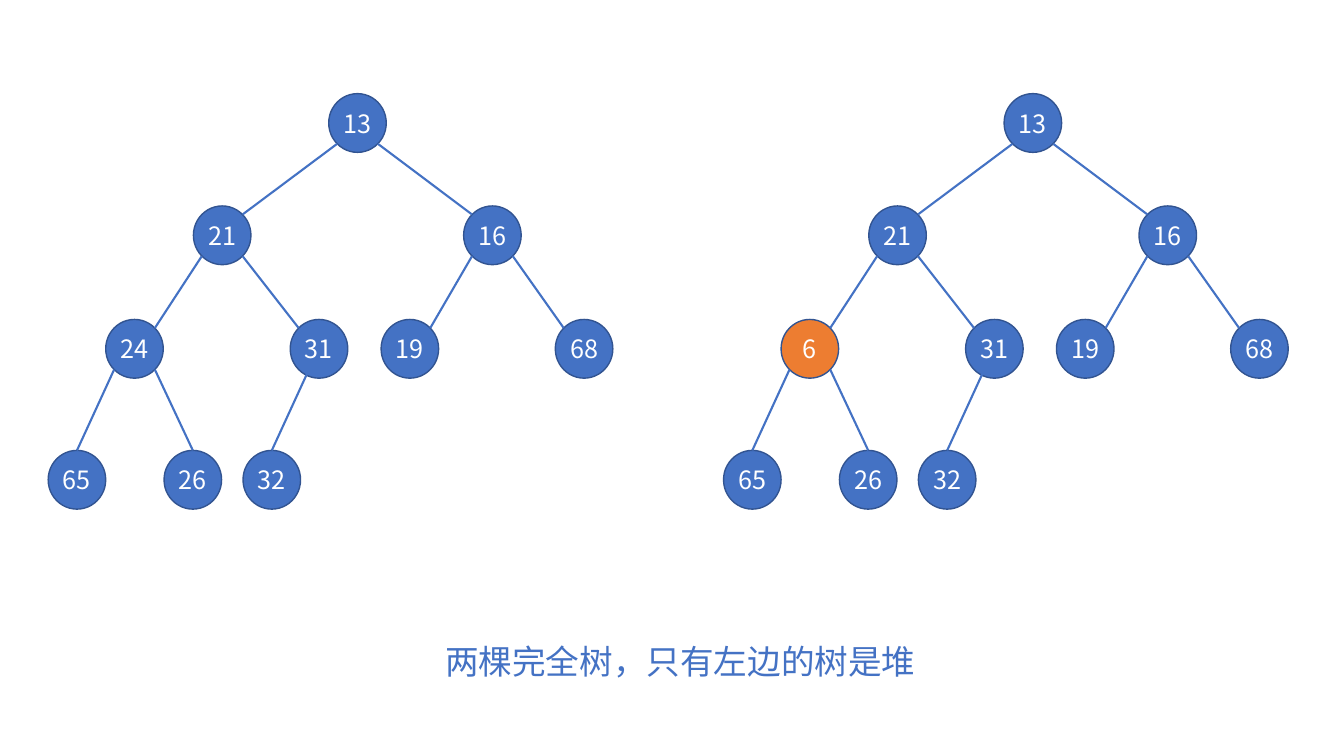
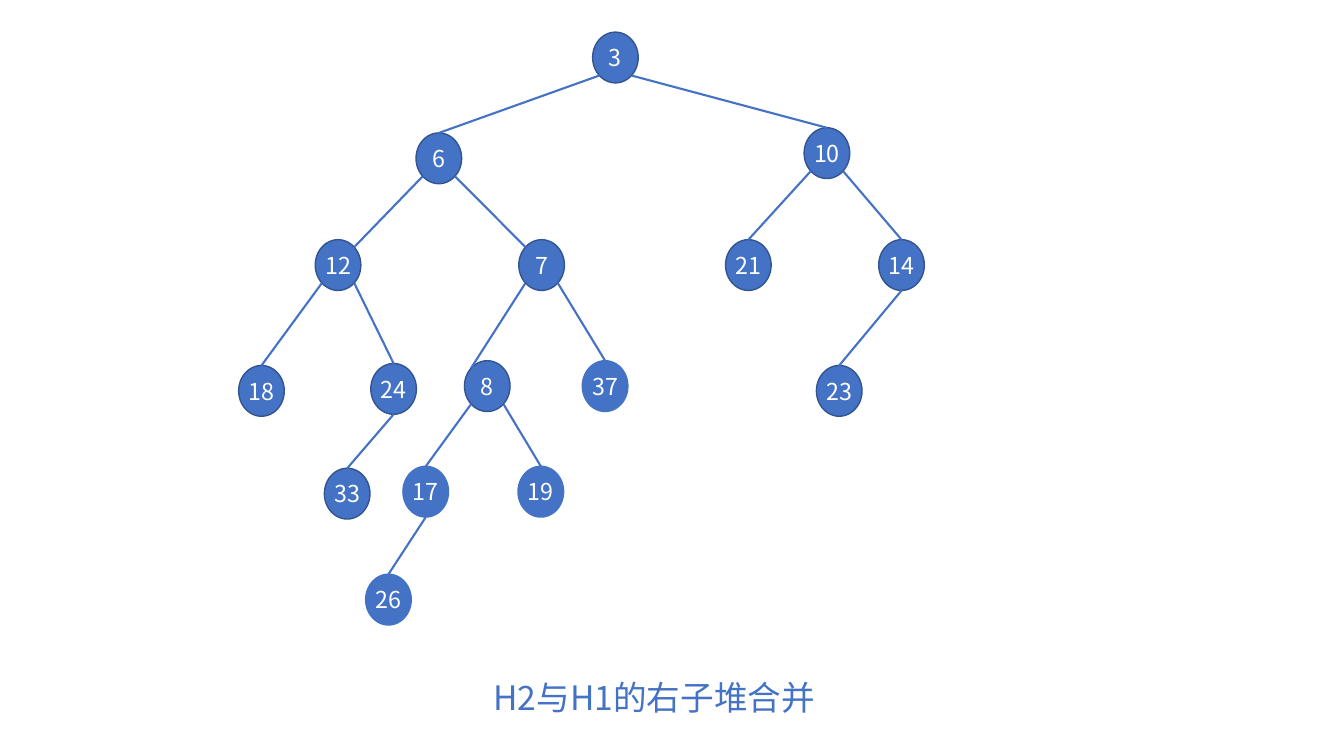
from pptx import Presentation
from pptx import util as u
from pptx.dml.color import RGBColor
from pptx.enum import shapes, text
from pptx.oxml import ns, xmlchemy

BLUE = RGBColor(0x44, 0x72, 0xC4)
NAVY = RGBColor(0x32, 0x54, 0x91)
GOLD = RGBColor(0xED, 0x7D, 0x31)
WHITE = RGBColor(0xFF, 0xFF, 0xFF)
FONT = "Noto Sans CJK SC"

SITES = {
    "n": (0, -1), "s": (0, 1),
    "nw": (-0.71, -0.71), "ne": (0.71, -0.71),
    "sw": (-0.71, 0.71), "se": (0.71, 0.71),
    "ssw": (-0.37, 0.75),
}

HEAP = {
    "13": (7.79, 0.74),
    "21": (4.38, 3.57), "16": (11.19, 3.57),
    "24": (2.17, 6.43), "31": (6.82, 6.43),
    "19": (9.11, 6.43), "68": (13.5, 6.43),
    "65": (0.72, 9.73), "26": (3.64, 9.73), "32": (5.63, 9.73),
}
HEAP_EDGES = [
    ("13", "sw", "21", "ne"), ("13", "se", "16", "nw"),
    ("21", "sw", "24", "ne"), ("21", "se", "31", "nw"),
    ("16", "sw", "19", "ne"), ("16", "se", "68", "nw"),
    ("24", "sw", "65", "n"), ("24", "se", "26", "n"),
    ("31", "ssw", "32", "n"),
]

MERGED = {
    "3": (9.49, 0.64),
    "6": (5.04, 3.18), "10": (14.82, 3.05),
    "12": (2.5, 5.87), "7": (7.63, 5.87),
    "21": (12.84, 5.87), "14": (16.7, 5.87),
    "18": (0.57, 9.04), "24": (3.9, 8.99), "8": (6.26, 8.92),
    "37": (9.23, 8.92), "23": (15.13, 9.04),
    "33": (2.73, 11.63), "17": (4.71, 11.58), "19": (7.61, 11.58),
    "26": (3.77, 14.3),
}
MERGED_EDGES = [
    ("3", "sw", "6", "n"), ("3", "se", "10", "n"),
    ("6", "sw", "12", "ne"), ("6", "se", "7", "nw"),
    ("10", "sw", "21", "n"), ("10", "se", "14", "n"),
    ("12", "sw", "18", "n"), ("12", "se", "24", "n"),
    ("7", "sw", "8", "nw"), ("7", "se", "37", "n"),
    ("14", "s", "23", "n"), ("24", "s", "33", "n"),
    ("8", "sw", "17", "n"), ("8", "se", "19", "n"),
    ("17", "s", "26", "n"),
]
PLAIN = {"37", "17", "19", "26"}


def style(frame, size, color):
    para = frame.paragraphs[0]
    para.alignment = text.PP_ALIGN.CENTER
    for run in para.runs:
        run.font.name = FONT
        run.font.size = u.Pt(size)
        run.font.color.rgb = color
        east = xmlchemy.OxmlElement("a:ea")
        east.set("typeface", FONT)
        run.font._element.find(ns.qn("a:latin")).addnext(east)


def add_node(slide, spot, size, label, points, fill, rim):
    wide, high = size
    node = slide.shapes.add_shape(
        shapes.MSO_SHAPE.OVAL, u.Cm(spot[0] - wide / 2),
        u.Cm(spot[1] - high / 2), u.Cm(wide), u.Cm(high))
    node.shadow.inherit = False
    node.fill.solid()
    node.fill.fore_color.rgb = fill
    node.line.color.rgb = rim
    node.line.width = u.Pt(1)
    frame = node.text_frame
    frame.margin_left = frame.margin_right = 0
    frame.vertical_anchor = text.MSO_ANCHOR.MIDDLE
    frame.text = label
    style(frame, points, WHITE)


def add_edge(slide, start, end):
    edge = slide.shapes.add_connector(
        shapes.MSO_CONNECTOR.STRAIGHT, *map(u.Cm, start + end))
    edge.line.color.rgb = BLUE
    edge.line.width = u.Pt(1.5)
    edge._element.spPr.append(xmlchemy.OxmlElement("a:effectLst"))


def add_tree(slide, left, top, size, points, nodes, edges, plain=(), swap=None):
    swap = swap or {}

    def site(key, side):
        return tuple(base + at + part * span / 2 for base, at, part, span
                     in zip((left, top), nodes[key], SITES[side], size))

    for key, (x, y) in nodes.items():
        label, fill = swap.get(key, (key, BLUE))
        rim = BLUE if key in plain else NAVY
        add_node(slide, (left + x, top + y), size, label, points, fill, rim)
    for parent, out, child, into in edges:
        add_edge(slide, site(parent, out), site(child, into))


def add_title(slide, left, top, words):
    title = slide.shapes.title
    title.left, title.top = u.Cm(left), u.Cm(top)
    title.width, title.height = u.Cm(24.13), u.Cm(1.28)
    frame = title.text_frame
    frame.auto_size = text.MSO_AUTO_SIZE.NONE
    frame.vertical_anchor = text.MSO_ANCHOR.TOP
    frame.word_wrap = True
    frame.text = words
    style(frame, 24, BLUE)


def heap_slide(deck):
    slide = deck.slides.add_slide(deck.slide_layouts[5])
    for left, swap in ((1.22, None), (18.24, {"24": ("6", GOLD)})):
        add_tree(slide, left, 2.36, (1.45, 1.48), 18,
                 HEAP, HEAP_EDGES, swap=swap)
    add_title(slide, 5.08, 16.03, "两棵完全树，只有左边的树是堆")


def merge_slide(deck):
    slide = deck.slides.add_slide(deck.slide_layouts[5])
    add_tree(slide, 6.02, 0.81, (1.15, 1.28), 16.6,
             MERGED, MERGED_EDGES, PLAIN)
    add_title(slide, 4.42, 16.94, "H2与H1的右子堆合并")


def main():
    deck = Presentation()
    deck.slide_width, deck.slide_height = u.Cm(33.87), u.Cm(19.05)
    heap_slide(deck)
    merge_slide(deck)
    deck.save("out.pptx")


if __name__ == "__main__":
    main()
